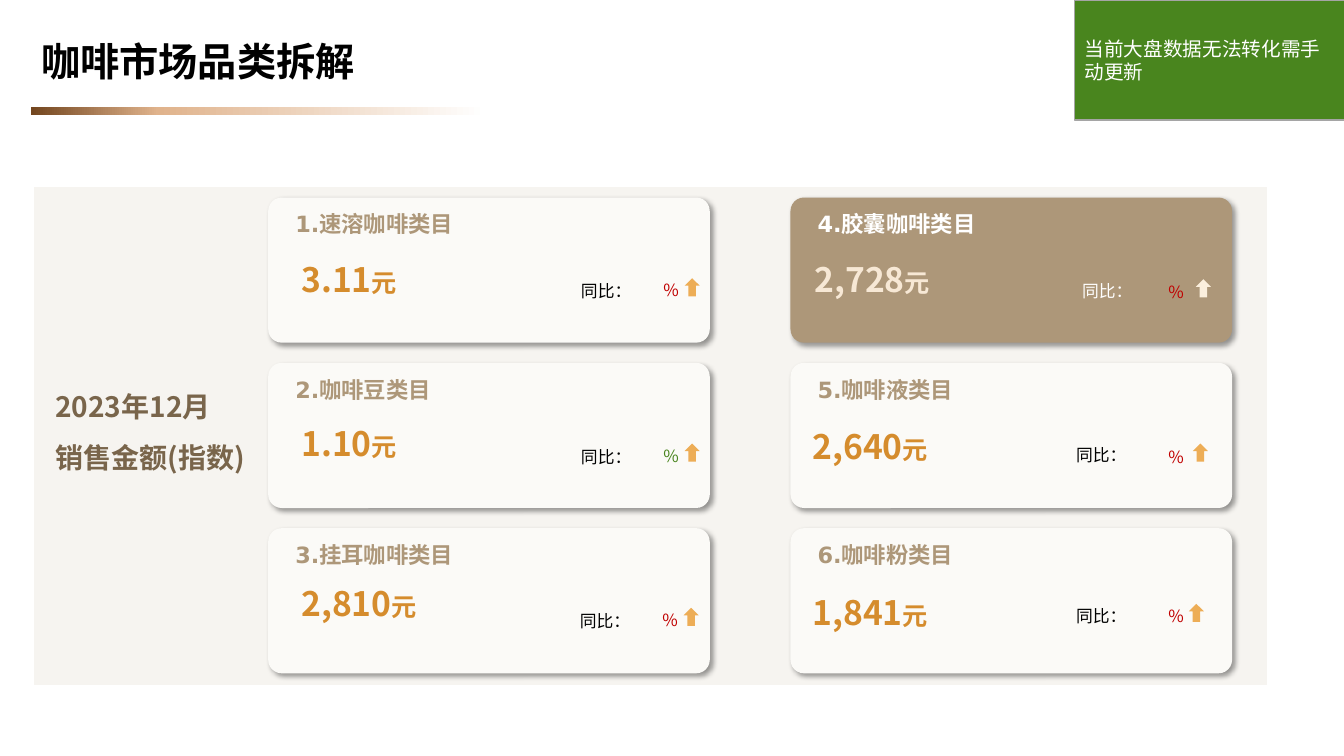
import copy

import pptx
import pptx.dml.color
import pptx.enum.shapes
import pptx.enum.text
import pptx.oxml
import pptx.oxml.ns
import pptx.util

Inches = pptx.util.Inches
RGBColor = pptx.dml.color.RGBColor
SHAPE = pptx.enum.shapes.MSO_SHAPE
ALIGN = pptx.enum.text.PP_ALIGN
ANCHOR = pptx.enum.text.MSO_ANCHOR
qn = pptx.oxml.ns.qn

HEAD_FONT = "DejaVu Sans"
BODY_FONT = "Noto Sans CJK SC"
BLACK = RGBColor(0x00, 0x00, 0x00)
WHITE = RGBColor(0xFF, 0xFF, 0xFF)
PANEL = RGBColor(0xF6, 0xF4, 0xF0)
CARD = RGBColor(0xFB, 0xFA, 0xF7)
TAN = RGBColor(0xAD, 0x97, 0x79)
BROWN = RGBColor(0x79, 0x65, 0x4B)
AMBER = RGBColor(0xD5, 0x8C, 0x2D)
CREAM = RGBColor(0xF7, 0xE8, 0xD5)
ORANGE = RGBColor(0xED, 0xAD, 0x56)
PALE = RGBColor(0xFB, 0xEF, 0xDD)
RED = RGBColor(0xC0, 0x00, 0x00)
GREEN = RGBColor(0x49, 0x85, 0x1E)
GREY = RGBColor(0xA5, 0xA5, 0xA5)
RULE_STOPS = [(0, RGBColor(0x73, 0x46, 0x1F)),
              (0.28, RGBColor(0xE0, 0xB3, 0x8C)),
              (1, WHITE)]
SHADOW = (
    '<a:effectLst xmlns:a="http://schemas.openxmlformats.org/drawingml/2006/main">'
    '<a:outerShdw blurRad="50800" dist="38100" dir="2700000" algn="tl" rotWithShape="0">'
    '<a:srgbClr val="000000"><a:alpha val="40000"/></a:srgbClr>'
    '</a:outerShdw></a:effectLst>')


def write(tf, text, size, color, font=BODY_FONT, bold=False,
          align=ALIGN.LEFT, spacing=None, unit=None, grow=True):
    """Fill a text frame, one paragraph a line; unit is a smaller last run."""
    tf.word_wrap = True
    if grow:
        tf.auto_size = pptx.enum.text.MSO_AUTO_SIZE.SHAPE_TO_FIT_TEXT
    for i, line in enumerate(text.split("\n")):
        p = tf.paragraphs[0] if i == 0 else tf.add_paragraph()
        p.alignment = align
        if spacing:
            p.line_spacing = spacing
        for part, pt in [(line, size), (unit, 18)]:
            if not part:
                continue
            r = p.add_run()
            r.text = part
            r.font.size = pptx.util.Pt(pt)
            r.font.name = font
            r.font.bold = bold
            r.font.color.rgb = color
            ea = r.font._element.makeelement(qn("a:ea"), {"typeface": BODY_FONT})
            r.font._element.find(qn("a:latin")).addnext(ea)


def add_shape(shapes, kind, x, y, w, h, fill=None, line=None):
    sp = shapes.add_shape(kind, Inches(x), Inches(y), Inches(w), Inches(h))
    sp.shadow.inherit = False
    if fill is not None:
        sp.fill.solid()
        sp.fill.fore_color.rgb = fill
    if line is None:
        sp.line.fill.background()
    else:
        sp.line.color.rgb = line
        sp.line.width = pptx.util.Pt(1)
    return sp


prs = pptx.Presentation()
prs.slide_width = Inches(13.33)
prs.slide_height = Inches(7.5)
s = prs.slides.add_slide(prs.slide_layouts[5])

# Gradient rule under the title
rule = add_shape(s.shapes, SHAPE.RECTANGLE, 0.31, 1.06, 4.51, 0.08)
rule.fill.gradient()
rule.fill.gradient_angle = 0
stop_list = rule._element.spPr.find(qn("a:gradFill")).find(qn("a:gsLst"))
stop_list.append(copy.deepcopy(stop_list[0]))
for stop, (position, color) in zip(rule.fill.gradient_stops, RULE_STOPS):
    stop.position = position
    stop.color.rgb = color

# Panel behind the cards
add_shape(s.shapes, SHAPE.RECTANGLE, 0.34, 1.86, 12.22, 4.93, PANEL, PANEL)

# Title
title = s.shapes.title
title.left, title.top = Inches(0.31), Inches(0.24)
title.width, title.height = Inches(10.32), Inches(0.78)
title.text_frame.vertical_anchor = ANCHOR.MIDDLE
write(title.text_frame, "咖啡市场品类拆解", 28, BLACK, font=HEAD_FONT,
      bold=True, spacing=0.9, grow=False)

# Category cards: name, amount, then the places of amount, label, percent, arrow
cards = [
    ("1.速溶咖啡类目", "3.11", (2.89, 2.32), (5.14, 2.7), (6.04, 2.69), (6.79, 2.76)),
    ("2.咖啡豆类目", "1.10", (2.89, 3.95), (5.14, 4.34), (6.04, 4.33), (6.79, 4.4)),
    ("3.挂耳咖啡类目", "2,810", (2.89, 5.53), (5.13, 5.97), (6.03, 5.96), (6.78, 6.03)),
    ("4.胶囊咖啡类目", "2,728", (7.98, 2.32), (10.11, 2.7), (11.05, 2.71), (11.86, 2.77)),
    ("5.咖啡液类目", "2,640", (7.96, 3.98), (10.05, 4.32), (11.05, 4.34), (11.83, 4.4)),
    ("6.咖啡粉类目", "1,841", (7.96, 5.62), (10.05, 5.92), (11.05, 5.92), (11.79, 5.99)),
]
for i, (name, amount, amount_at, label_at, percent_at, arrow_at) in enumerate(cards):
    col, row = divmod(i, 3)
    x, y = 2.66 + 5.18 * col, 1.96 + 1.64 * row
    dark = name.startswith("4")

    group = s.shapes.add_group_shape()
    card = add_shape(group.shapes, SHAPE.ROUNDED_RECTANGLE, x, y, 4.38, 1.44,
                     TAN if dark else CARD)
    card.adjustments[0] = 0.093
    spPr = card._element.spPr
    spPr.replace(spPr.find(qn("a:effectLst")), pptx.oxml.parse_xml(SHADOW))
    tb = group.shapes.add_textbox(Inches(x + 0.17), Inches(y + 0.08),
                                  Inches(3.58), Inches(0.37))
    write(tb.text_frame, name, 16, WHITE if dark else TAN, font=HEAD_FONT, bold=True)

    texts = [
        (amount, amount_at, 2.68, 0.64,
         dict(size=24, color=CREAM if dark else AMBER, bold=True, spacing=1.5, unit="元")),
        ("同比：", label_at, 1.22, 0.32,
         dict(size=12, color=WHITE if dark else BLACK, align=ALIGN.RIGHT, spacing=1.2)),
        ("%", percent_at, 0.79, 0.32,
         dict(size=12, color=GREEN if name.startswith("2") else RED,
              align=ALIGN.RIGHT, spacing=1.2)),
    ]
    for text, (left, top), w, h, style in texts:
        tb = s.shapes.add_textbox(Inches(left), Inches(top), Inches(w), Inches(h))
        write(tb.text_frame, text, **style)
    add_shape(s.shapes, SHAPE.UP_ARROW, *arrow_at, 0.15, 0.18, PALE if dark else ORANGE)

# Update notice in the corner
notice = add_shape(s.shapes, SHAPE.RECTANGLE, 10.66, 0, 2.68, 1.19, GREEN, GREY)
notice.text_frame.vertical_anchor = ANCHOR.MIDDLE
write(notice.text_frame, "当前大盘数据无法转化需手动更新", 14, WHITE, grow=False)

# Period and measure
tb = s.shapes.add_textbox(Inches(0.45), Inches(3.65), Inches(3.99), Inches(1.05))
write(tb.text_frame, "2023年12月\n销售金额(指数)", 20, BROWN, bold=True, spacing=1.5)

prs.save("out.pptx")
